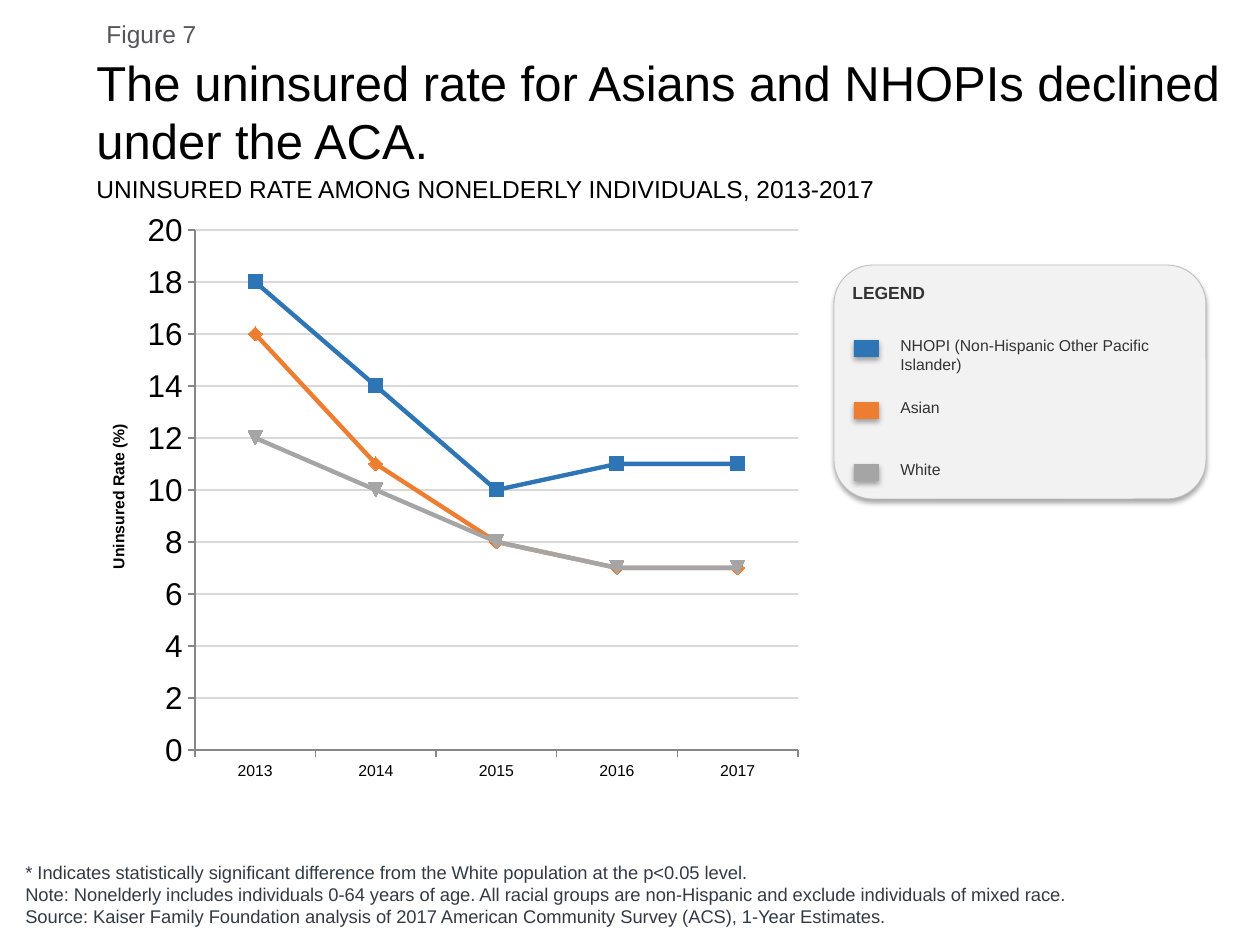
from lxml import etree
from pptx import Presentation
from pptx.chart.data import CategoryChartData
from pptx.dml.color import RGBColor
from pptx.enum.chart import XL_CHART_TYPE as ChartType, XL_MARKER_STYLE as MarkerStyle
from pptx.enum.chart import XL_TICK_MARK as TickMark
from pptx.enum.shapes import MSO_SHAPE as Shape
from pptx.enum.text import MSO_ANCHOR as Anchor
from pptx.oxml import parse_xml
from pptx.oxml.ns import nsdecls, qn
from pptx.util import Emu, Pt

PX_PER_INCH = 126
FONT = "Arial"
BLACK = RGBColor(0x00, 0x00, 0x00)
LABEL_GRAY = RGBColor(0x55, 0x56, 0x5A)
NOTE_GRAY = RGBColor(0x32, 0x3A, 0x45)
LEGEND_TEXT = RGBColor(0x33, 0x33, 0x33)
PANEL_FILL = RGBColor(0xF2, 0xF2, 0xF2)
PANEL_LINE = RGBColor(0xBF, 0xBF, 0xBF)
GRID = RGBColor(0xD9, 0xD9, 0xD9)
AXIS = RGBColor(0x87, 0x87, 0x87)
BLUE = RGBColor(0x2E, 0x75, 0xB6)
ORANGE = RGBColor(0xED, 0x7D, 0x31)
GRAY = RGBColor(0xA5, 0xA5, 0xA5)

YEARS = ["2013", "2014", "2015", "2016", "2017"]
GROUPS = [
    ("NHOPI (Non-Hispanic Other Pacific Islander)", BLUE, (18, 14, 10, 11, 11)),
    ("Asian", ORANGE, (16, 11, 8, 7, 7)),
    ("White", GRAY, (12, 10, 8, 7, 7)),
]
NOTES = [
    "* Indicates statistically significant difference from the White population "
    "at the p<0.05 level.",
    "Note: Nonelderly includes individuals 0-64 years of age. All racial groups are "
    "non-Hispanic and exclude individuals of mixed race.",
    "Source: Kaiser Family Foundation analysis of 2017 American Community Survey (ACS), "
    "1-Year Estimates.",
]


def px(length):
    return Emu(round(length * 914400 / PX_PER_INCH))


class SlideBuilder:
    def __init__(self, slide):
        self.slide = slide

    def style_font(self, font, size, color=BLACK, bold=False):
        font.name, font.size, font.bold = FONT, Pt(size), bold
        font.color.rgb = color

    def text(self, box, text, size, color=BLACK, bold=False, anchor=Anchor.TOP):
        shape = self.slide.shapes.add_textbox(*map(px, box))
        frame = shape.text_frame
        frame.word_wrap = True
        frame.vertical_anchor = anchor
        frame.text = text
        for paragraph in frame.paragraphs:
            for run in paragraph.runs:
                self.style_font(run.font, size, color, bold)

    def shadowed_shape(self, kind, box, fill, line=None):
        shape = self.slide.shapes.add_shape(kind, *map(px, box))
        shape.fill.solid()
        shape.fill.fore_color.rgb = fill
        if line is None:
            shape.line.fill.background()
        else:
            shape.line.color.rgb = line
            shape.line.width = Pt(0.5)
        shape.shadow.inherit = False
        effects = shape.element.spPr.find(qn("a:effectLst"))
        effects.append(parse_xml(
            f'<a:outerShdw {nsdecls("a")} blurRad="{Pt(3.1)}" dist="{Pt(1.8)}" '
            'dir="5400000" rotWithShape="0"><a:srgbClr val="000000">'
            '<a:alpha val="35000"/></a:srgbClr></a:outerShdw>'))

    def line_chart(self, box, plot_box, categories, groups, axis_title):
        data = CategoryChartData()
        data.categories = categories
        for name, _, values in groups:
            data.add_series(name, values)
        frame = self.slide.shapes.add_chart(ChartType.LINE_MARKERS, *map(px, box), data)
        chart = frame.chart
        chart.has_legend = chart.has_title = False
        self.style_font(chart.font, 18)
        chart.plots[0].vary_by_categories = False
        for series, (_, color, _) in zip(chart.plots[0].series, groups):
            series.smooth = False
            series.format.line.color.rgb = color
            series.format.line.width = Pt(2.5)
            marker = series.marker
            marker.style, marker.size = MarkerStyle.AUTOMATIC, 8
            marker.format.fill.solid()
            marker.format.fill.fore_color.rgb = color
            marker.format.line.fill.background()

        for axis, size in ((chart.category_axis, 9), (chart.value_axis, 18)):
            axis.major_tick_mark = TickMark.OUTSIDE
            axis.minor_tick_mark = TickMark.NONE
            axis.format.line.color.rgb = AXIS
            axis.format.line.width = Pt(0.75)
            self.style_font(axis.tick_labels.font, size)
        value_axis = chart.value_axis
        value_axis.minimum_scale, value_axis.maximum_scale = 0, 20
        value_axis.major_unit = 2
        value_axis.major_gridlines.format.line.color.rgb = GRID
        value_axis.major_gridlines.format.line.width = Pt(0.75)
        title_frame = value_axis.axis_title.text_frame
        title_frame.text = axis_title
        self.style_font(title_frame.paragraphs[0].runs[0].font, 9, bold=True)
        self.place_plot(chart, box, plot_box)

    def place_plot(self, chart, box, plot_box):
        """Fix the inner plot area at plot_box, given in slide px."""
        left, top, width, height = box
        plot_left, plot_top, plot_width, plot_height = plot_box
        shares = {
            "x": (plot_left - left) / width, "y": (plot_top - top) / height,
            "w": plot_width / width, "h": plot_height / height,
        }
        plot_area = chart.element.find(".//" + qn("c:plotArea"))
        layout = plot_area.find(qn("c:layout"))
        if layout is None:
            layout = etree.Element(qn("c:layout"))
            plot_area.insert(0, layout)
        manual = etree.SubElement(layout, qn("c:manualLayout"))
        settings = {"layoutTarget": "inner", "xMode": "edge", "yMode": "edge"}
        for tag, value in settings.items():
            etree.SubElement(manual, qn("c:" + tag), val=value)
        for tag, share in shares.items():
            etree.SubElement(manual, qn("c:" + tag), val=f"{share:.4f}")

    def legend(self, box, groups, first_row, row_step):
        self.shadowed_shape(Shape.ROUNDED_RECTANGLE, box, PANEL_FILL, PANEL_LINE)
        self.text((840, 276, 358, 48), "LEGEND", 10, LEGEND_TEXT, bold=True)
        for row, (name, color, _) in enumerate(groups):
            top = first_row + row * row_step
            self.shadowed_shape(Shape.RECTANGLE, (854, top + 10, 25, 17), color)
            self.text((888, top, 304, 42), name, 9, LEGEND_TEXT)


def main():
    presentation = Presentation()
    presentation.slide_width, presentation.slide_height = px(1260), px(945)
    slide = presentation.slides.add_slide(presentation.slide_layouts[6])
    builder = SlideBuilder(slide)

    builder.text((94, 13, 1153, 43), "Figure 7", 14, LABEL_GRAY)
    builder.text((84, 46, 1163, 126),
                 "The uninsured rate for Asians and NHOPIs declined under the ACA.", 28)
    builder.text((13, 857, 1131, 76), "\n".join(NOTES), 10.5, NOTE_GRAY,
                 anchor=Anchor.BOTTOM)
    builder.text((84, 168, 1092, 43),
                 "UNINSURED RATE AMONG NONELDERLY INDIVIDUALS, 2013-2017", 14)
    builder.line_chart((83, 200, 731, 592), (195, 230, 603, 520),
                       YEARS, GROUPS, "Uninsured Rate (%)")
    builder.legend((834, 265, 372, 234), GROUPS, first_row=330, row_step=62)
    presentation.save("out.pptx")


if __name__ == "__main__":
    main()
